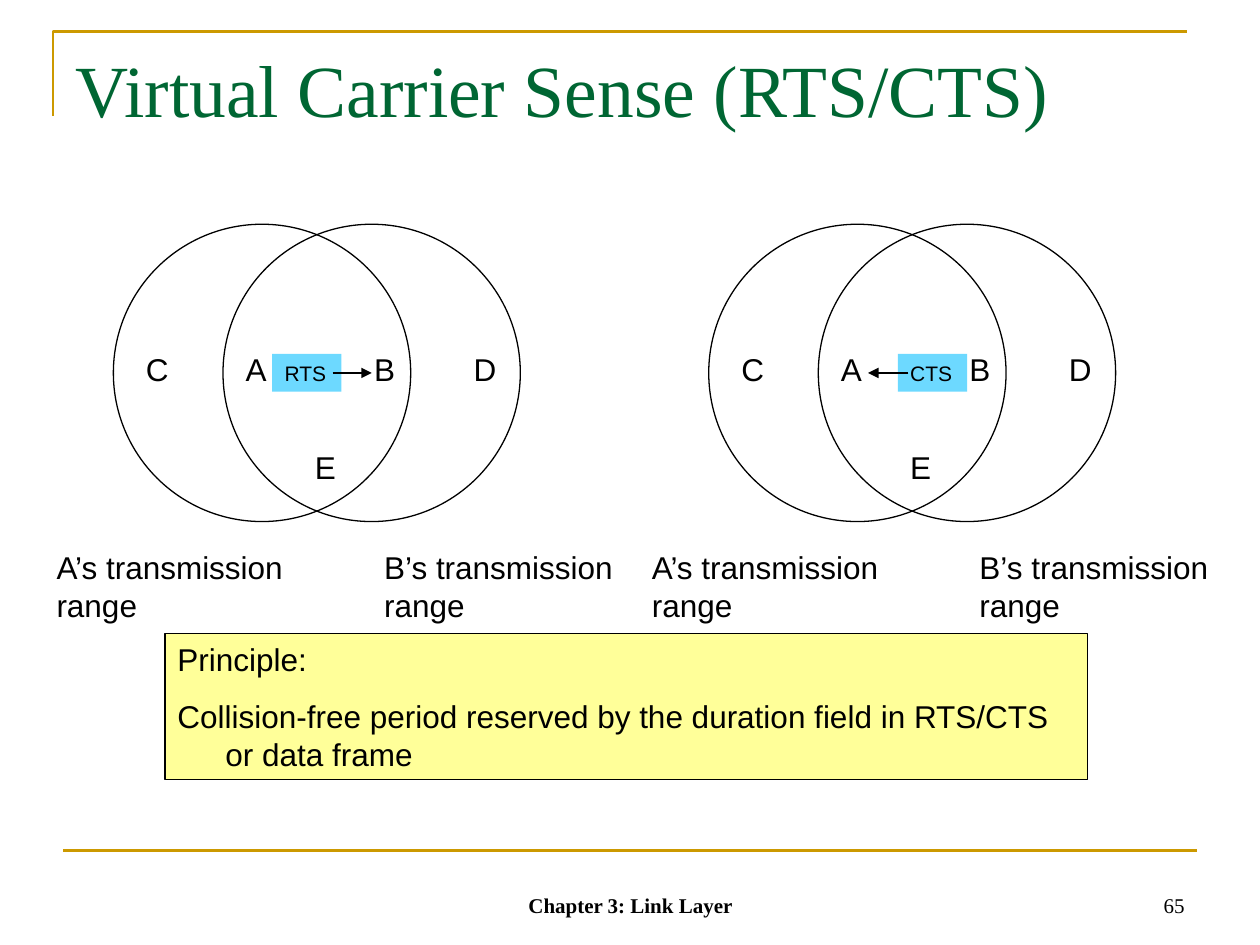
import pptx
import pptx.util
import pptx.dml.color
import pptx.enum.text
import pptx.enum.shapes
import pptx.oxml
import pptx.oxml.ns

COLS, ROWS = 100, 75
UNIT = pptx.util.Inches(0.1)
SHAPE = pptx.enum.shapes.MSO_SHAPE
ALIGN = pptx.enum.text.PP_ALIGN
ANCHOR = pptx.enum.text.MSO_ANCHOR
SERIF, SANS = "Times New Roman", "Arial"
GOLD, BLACK = "CC9900", "000000"


def span(*cells):
    return [round(cell * UNIT) for cell in cells]


def shade(code):
    return pptx.dml.color.RGBColor.from_string(code)


def style(item, values):
    for name, value in values.items():
        setattr(item, name, value)


def write(shape, lines, size=18, face=SANS, color=BLACK, bold=False,
          align=ALIGN.LEFT, anchor=ANCHOR.TOP, gap=0, hang=0):
    frame = shape.text_frame
    style(frame, {"word_wrap": True, "vertical_anchor": anchor,
                  "auto_size": pptx.enum.text.MSO_AUTO_SIZE.NONE})
    frame.text = "\n".join(lines)
    for order, para in enumerate(frame.paragraphs):
        if hang:
            props = para._p.get_or_add_pPr()
            props.set("marL", str(pptx.util.Inches(hang)))
            props.set("indent", str(-pptx.util.Inches(hang)))
        style(para, {"alignment": align,
                     "space_before": pptx.util.Pt(gap if order else 0)})
        style(para.font, {"size": pptx.util.Pt(size), "name": face, "bold": bold})
        para.font.color.rgb = shade(color)


def label(slide, box, words, **looks):
    write(slide.shapes.add_textbox(*span(*box)), [words], **looks)


def paint(shape, fill=None, line=None, width=0.75):
    shape.shadow.inherit = False
    if fill:
        shape.fill.solid()
        shape.fill.fore_color.rgb = shade(fill)
    else:
        shape.fill.background()
    if line:
        shape.line.color.rgb = shade(line)
        shape.line.width = pptx.util.Pt(width)
    else:
        shape.line.fill.background()


def block(slide, kind, box, **looks):
    shape = slide.shapes.add_shape(kind, *span(*box))
    paint(shape, **looks)
    return shape


def rule(slide, ends, color, width, arrow=False):
    line = slide.shapes.add_connector(
        pptx.enum.shapes.MSO_CONNECTOR.STRAIGHT, *span(*ends))
    line.line.color.rgb = shade(color)
    line.line.width = pptx.util.Pt(width)
    props = line._element.spPr
    space = pptx.oxml.ns.nsdecls("a")
    if arrow:
        tail = pptx.oxml.parse_xml(f'<a:tailEnd {space} type="triangle"/>')
        props.get_or_add_ln().append(tail)
    props.append(pptx.oxml.parse_xml(f"<a:effectLst {space}/>"))


def header(slide, box, words):
    left, top, wide, high = box
    edge = slide.shapes.build_freeform(*span(left - 0.8, top + 6.2))
    edge.add_line_segments(
        [span(left - 0.8, top - 0.5), span(left + wide - 0.8, top - 0.5)], close=False)
    paint(edge.convert_to_shape(), line=GOLD, width=1.5)
    title = slide.shapes.title
    style(title, dict(zip(("left", "top", "width", "height"), span(*box))))
    write(title, [words], size=42, face=SERIF, color="006633")


def panel(slide, box, frame, start, arrow):
    left, top, wide, high = box
    disc = 23.6
    for shift in (5.5, 14.2):
        block(slide, SHAPE.OVAL, (left + shift, top, disc, disc), line=BLACK)
    for name, col, row in (("C", 7.1, 9.5), ("A", 15, 9.5), ("B", 25.2, 9.5),
                           ("D", 33.1, 9.5), ("E", 20.5, 17.3)):
        label(slide, (left + col, top + row, 3.2, 4), name)
    tag = block(slide, SHAPE.RECTANGLE, (left + start, top + 10.3, 5.5, 3), fill="6DD9FF")
    write(tag, [frame], size=12)
    level = top + disc / 2
    rule(slide, (left + arrow[0], level, left + arrow[1], level), BLACK, 0.75, True)
    note = 21.2
    for name, col in (("A", left), ("B", left + wide - note)):
        label(slide, (col, top + high - 7, note, 7), f"{name}’s transmission range")


def summary(slide, box, lines):
    card = block(slide, SHAPE.RECTANGLE, box, fill="FFFF99", line=BLACK)
    write(card, lines, gap=11.2, hang=0.38)


def footer(slide, box, words, number):
    left, top, wide, high = box
    rule(slide, (left, top, left + wide, top), GOLD, 1.5)
    looks = {"size": 12, "face": SERIF, "anchor": ANCHOR.BOTTOM}
    row = top + high - 5
    label(slide, (left + 29.2, row, 31.7, 5), words, bold=True, align=ALIGN.CENTER, **looks)
    label(slide, (left + wide - 23.3, row, 23.3, 5), number, align=ALIGN.RIGHT, **looks)


def main():
    deck = pptx.Presentation()
    deck.slide_width, deck.slide_height = span(COLS, ROWS)
    slide = deck.slides.add_slide(deck.slide_layouts[5])
    header(slide, (5, 3, 90, 12.5), "Virtual Carrier Sense (RTS/CTS)")
    frames = (("RTS", 18.1, (22.9, 26)), ("CTS", 20.5, (21.35, 18.15)))
    for order, (frame, start, arrow) in enumerate(frames):
        panel(slide, (3.5 + order * 47.25, 17.8, 47.2, 32.2), frame, start, arrow)
    summary(slide, (13.1, 50.3, 73.2, 11.6), [
        "Principle:",
        "Collision-free period reserved by the duration field in RTS/CTS or data frame"])
    footer(slide, (5, 67.5, 90, 5.8), "Chapter 3: Link Layer", "65")
    deck.save("out.pptx")


if __name__ == "__main__":
    main()
